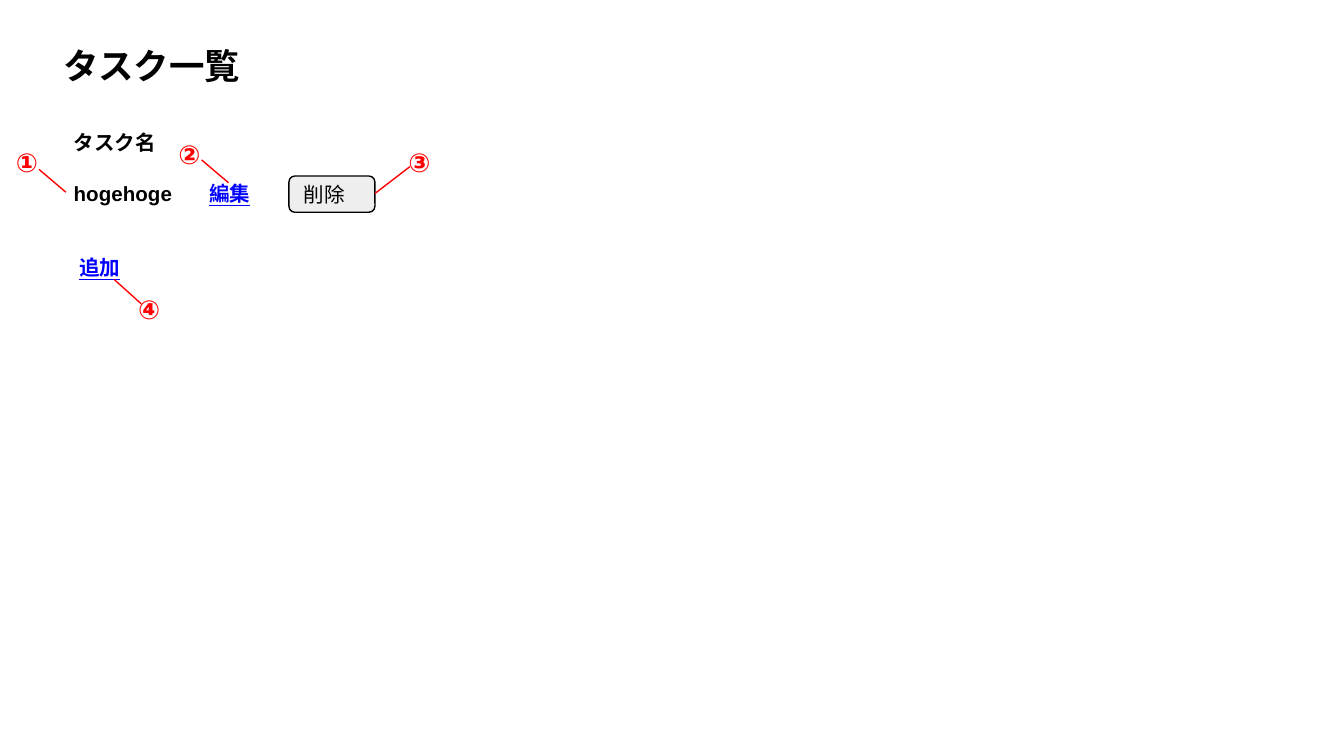
import pptx
import pptx.util
import pptx.dml.color
import pptx.enum.shapes
import pptx.enum.text
import pptx.oxml.ns
import lxml.etree
from pptx.util import Inches

BLACK, BLUE, RED, GREY = "000000", "0000FF", "FF0000", "EEEEEE"


def color(hex_string):
    return pptx.dml.color.RGBColor.from_string(hex_string)


def write(shape, text, size, hex_string, bold=True, underline=None, middle=False):
    frame = shape.text_frame
    frame.text = text
    frame.word_wrap = True
    frame.auto_size = pptx.enum.text.MSO_AUTO_SIZE.NONE
    anchors = pptx.enum.text.MSO_ANCHOR
    frame.vertical_anchor = anchors.MIDDLE if middle else anchors.TOP
    frame.margin_left = frame.margin_right = Inches(0.1)
    frame.margin_top = frame.margin_bottom = Inches(0.1)
    paragraph = frame.paragraphs[0]
    paragraph.alignment = pptx.enum.text.PP_ALIGN.LEFT
    font = paragraph.runs[0].font
    font.name = "Arial"
    font.size = pptx.util.Pt(size)
    font.bold = bold
    font.underline = underline
    font.color.rgb = color(hex_string)


# Widescreen page, 16:9
presentation = pptx.Presentation()
presentation.slide_width = Inches(10)
presentation.slide_height = Inches(10 * 9 / 16)
slide = presentation.slides.add_slide(presentation.slide_layouts[5])

# Page heading
heading = slide.shapes.title
heading.left, heading.top = Inches(0.37), Inches(0.23)
heading.width, heading.height = Inches(2.64), Inches(0.52)
write(heading, "タスク一覧", 19, BLACK)

# Task list: column header, task name and links
for text, left, top, is_link in [
    ("タスク名", 0.45, 0.87, False),
    ("hogehoge", 0.45, 1.25, False),
    ("編集", 1.46, 1.25, True),
    ("追加", 0.49, 1.8, True),
]:
    label = slide.shapes.add_textbox(Inches(left), Inches(top), Inches(1.01), Inches(0.39))
    write(label, text, 11, BLUE if is_link else BLACK, underline=is_link or None)

# Delete button
delete_button = slide.shapes.add_shape(
    pptx.enum.shapes.MSO_SHAPE.ROUNDED_RECTANGLE,
    Inches(2.15), Inches(1.31), Inches(0.64), Inches(0.27))
delete_button.shadow.inherit = False
delete_button.fill.solid()
delete_button.fill.fore_color.rgb = color(GREY)
delete_button.line.color.rgb = color(BLACK)
delete_button.line.width = pptx.util.Pt(0.75)
write(delete_button, "削除", 11, BLACK, bold=False, middle=True)

# Numbered callouts, each with a leader line
for number, left, top, start, end in [
    ("①", 0.02, 0.99, (0.29, 1.26), (0.49, 1.43)),
    ("②", 1.23, 0.93, (1.5, 1.19), (1.7, 1.36)),
    ("③", 2.94, 0.99, (3.05, 1.24), (2.79, 1.44)),
    ("④", 0.93, 2.08, (0.85, 2.08), (1.05, 2.26)),
]:
    callout = slide.shapes.add_textbox(Inches(left), Inches(top), Inches(0.47), Inches(0.44))
    write(callout, number, 14, RED)
    leader = slide.shapes.add_connector(
        pptx.enum.shapes.MSO_CONNECTOR.STRAIGHT,
        *[Inches(value) for value in start + end])
    leader.line.color.rgb = color(RED)
    leader.line.width = pptx.util.Pt(0.75)
    lxml.etree.SubElement(leader._element.spPr, pptx.oxml.ns.qn("a:effectLst"))

presentation.save("out.pptx")
